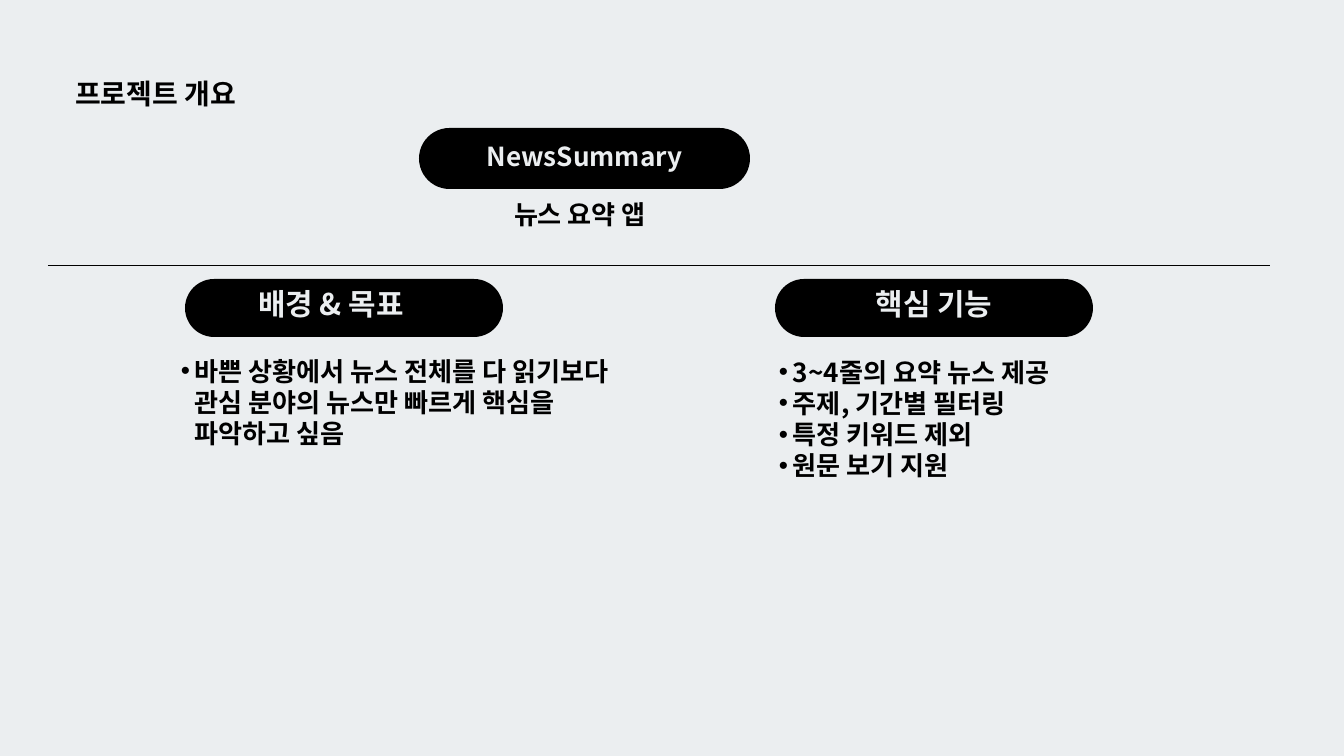
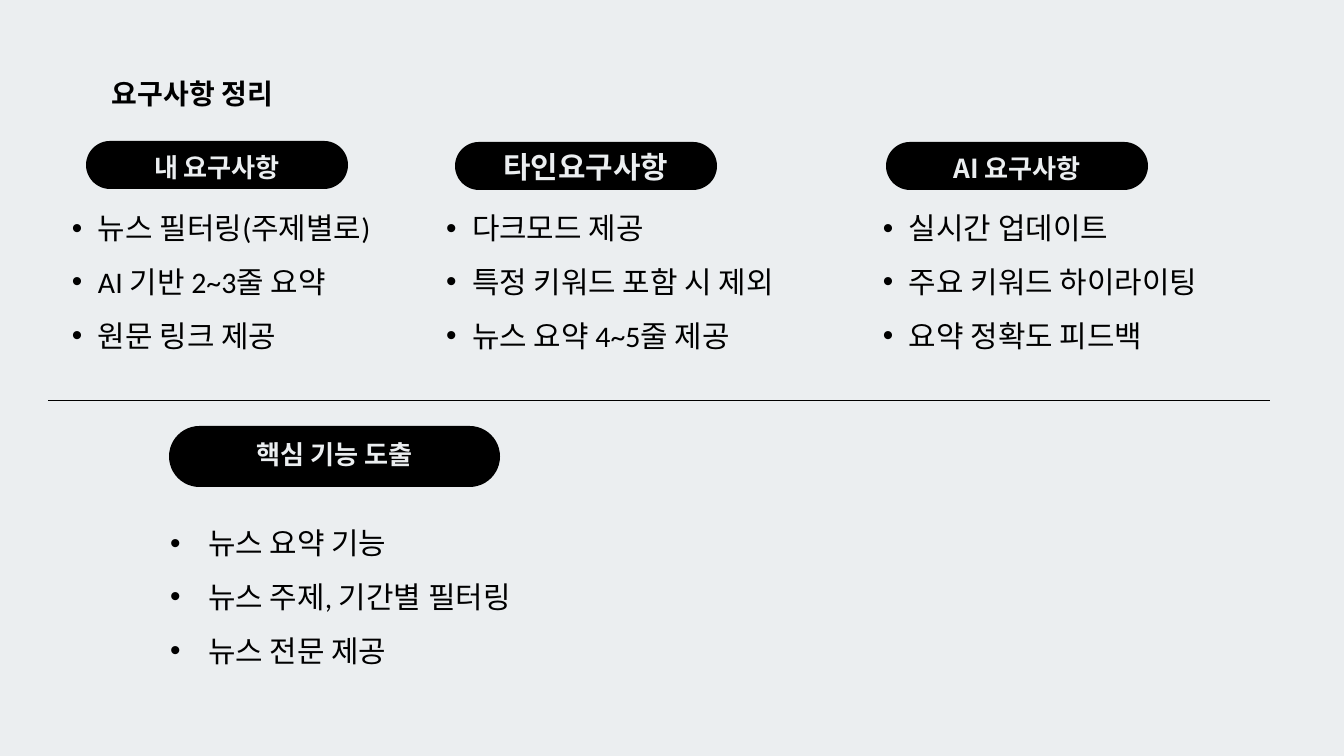
from lxml import etree
from pptx import Presentation
from pptx.dml.color import RGBColor
from pptx.enum.shapes import MSO_CONNECTOR as Connector, MSO_SHAPE as Shape
from pptx.enum.text import MSO_ANCHOR as Anchor, MSO_AUTO_SIZE as AutoSize, PP_ALIGN as Align
from pptx.oxml.ns import qn
from pptx.util import Emu, Pt

EMU_PER_PX = 914400 / 67.2
SLIDE_W, SLIDE_H = 1344, 756
COLORS = {"paper": "EBEEF0", "ink": "000000"}
HEADING_FONT, TITLE_FONT, LIST_FONT = "Noto Sans CJK SC", "Inter", "Calibri"
TWO_CONTENT, COMPARISON = 3, 4  # template layouts with two and four bodies

BOLD_LIST = dict(font=HEADING_FONT, size=28, bold=True, spacing=Pt(33.5), bullet=(29, 14))
PLAIN_LIST = dict(font=LIST_FONT, size=32, spacing=1.5, bullet=(70, 26))


def px(length):
    return Emu(round(length * EMU_PER_PX))


def rgb(name):
    return RGBColor.from_string(COLORS[name])


def place(part, left, top, width, height):
    part.left, part.top, part.width, part.height = map(px, (left, top, width, height))


def add_bullet(paragraph, margin, hanging):
    properties = paragraph._p.get_or_add_pPr()
    properties.set("marL", str(px(margin)))
    properties.set("indent", str(-px(hanging)))
    etree.SubElement(properties, qn("a:buChar")).set("char", "•")


def write(part, lines, font=HEADING_FONT, size=28, color="ink", bold=False, align=Align.LEFT,
          anchor=Anchor.TOP, spacing=1.0, bullet=None, insets=(0, 0, 0, 0)):
    """Fill a part with one paragraph per line; insets run left, top, right, bottom."""
    frame = part.text_frame
    frame.word_wrap, frame.auto_size, frame.vertical_anchor = True, AutoSize.NONE, anchor
    (frame.margin_left, frame.margin_top,
     frame.margin_right, frame.margin_bottom) = map(px, insets)
    for number, line in enumerate(lines):
        paragraph = frame.add_paragraph() if number else frame.paragraphs[0]
        paragraph.text = line
        if bullet:
            add_bullet(paragraph, *bullet)
        paragraph.alignment, paragraph.line_spacing = align, spacing
        paragraph.space_before = Pt(0)
        for run in paragraph.runs:
            run.font.name, run.font.size, run.font.bold = font, Pt(size), bold
            run.font.color.rgb = rgb(color)


def add_title(slide, left, text):
    place(slide.shapes.title, left, 71, 277, 40)
    write(slide.shapes.title, [text], font=TITLE_FONT, size=30, bold=True, spacing=Pt(42))


def add_pill(slide, box, text, size=28, drop=0, shift=0):
    """Add a heading pill, its text lowered by drop and moved left by shift."""
    pill = slide.shapes.add_shape(Shape.ROUNDED_RECTANGLE, *map(px, box))
    pill.adjustments[0] = 0.5
    pill.shadow.inherit = False
    pill.fill.solid()
    pill.fill.fore_color.rgb = rgb("ink")
    pill.line.fill.background()
    write(pill, [text], size=size, color="paper", bold=True, align=Align.CENTER,
          anchor=Anchor.MIDDLE, spacing=Pt(28), insets=(0, 2 * drop, 2 * shift, 0))


def add_topic(slide, body, box, heading, items, list_box, style, **pill_format):
    """Place a pill in box and its list at list_box, measured from the pill's corner."""
    left, top, _, _ = box
    offset_x, offset_y, width, height = list_box
    add_pill(slide, box, heading, **pill_format)
    place(slide.placeholders[body], left + offset_x, top + offset_y, width, height)
    write(slide.placeholders[body], items, **style)


def add_divider(slide, y):
    divider = slide.shapes.add_connector(Connector.STRAIGHT, px(48), px(y), px(1270), px(y))
    divider.line.color.rgb = rgb("ink")
    divider.line.width = Pt(0.75)
    etree.SubElement(divider._element.spPr, qn("a:effectLst"))


def build_overview(deck):
    slide = deck.slides.add_slide(deck.slide_layouts[TWO_CONTENT])
    add_title(slide, 75, "프로젝트 개요")
    add_pill(slide, (419, 128, 331, 61), "NewsSummary")
    tagline = slide.shapes.add_textbox(px(514), px(206), px(491), px(24))
    write(tagline, ["뉴스 요약 앱"], bold=True, spacing=Pt(25.2))
    add_divider(slide, 265)
    add_topic(slide, 1, (185, 279, 318, 58), "배경 & 목표",
              ["바쁜 상황에서 뉴스 전체를 다 읽기보다\v관심 분야의 뉴스만 빠르게 핵심을\v파악하고 싶음"],
              (-19, 76, 505, 95), BOLD_LIST, size=32, shift=13)
    add_topic(slide, 2, (775, 279, 318, 58), "핵심 기능",
              ["3~4줄의 요약 뉴스 제공", "주제, 기간별 필터링", "특정 키워드 제외", "원문 보기 지원"],
              (-11, 77, 505, 126), BOLD_LIST, size=32)


def build_requirements(deck):
    slide = deck.slides.add_slide(deck.slide_layouts[COMPARISON])
    add_title(slide, 112, "요구사항 정리")
    sources = [
        (86, 141, "내 요구사항", 28, -58, 386,
         ["뉴스 필터링(주제별로)", "AI 기반 2~3줄 요약", "원문 링크 제공"]),
        (455, 142, "타인요구사항", 32, -53, 430,
         ["다크모드 제공", "특정 키워드 포함 시 제외", "뉴스 요약 4~5줄 제공"]),
        (886, 142, "AI 요구사항", 28, -47, 405,
         ["실시간 업데이트", "주요 키워드 하이라이팅", "요약 정확도 피드백"]),
    ]
    for body, (left, top, heading, size, offset, width, items) in enumerate(sources, 1):
        add_topic(slide, body, (left, top, 262, 48), heading, items,
                  (offset, 192 - top, width, 164), PLAIN_LIST, size=size, drop=5)
    add_divider(slide, 400)
    add_topic(slide, 4, (169, 426, 331, 61), "핵심 기능 도출",
              ["뉴스 요약 기능", "뉴스 주제, 기간별 필터링", "뉴스 전문 제공"],
              (-32, 81, 688, 164), PLAIN_LIST | {"bullet": (71, 38)})


def main():
    deck = Presentation()
    deck.slide_width, deck.slide_height = px(SLIDE_W), px(SLIDE_H)
    backdrop = deck.slide_master.background.fill
    backdrop.solid()
    backdrop.fore_color.rgb = rgb("paper")
    build_overview(deck)
    build_requirements(deck)
    deck.save("out.pptx")


if __name__ == "__main__":
    main()
